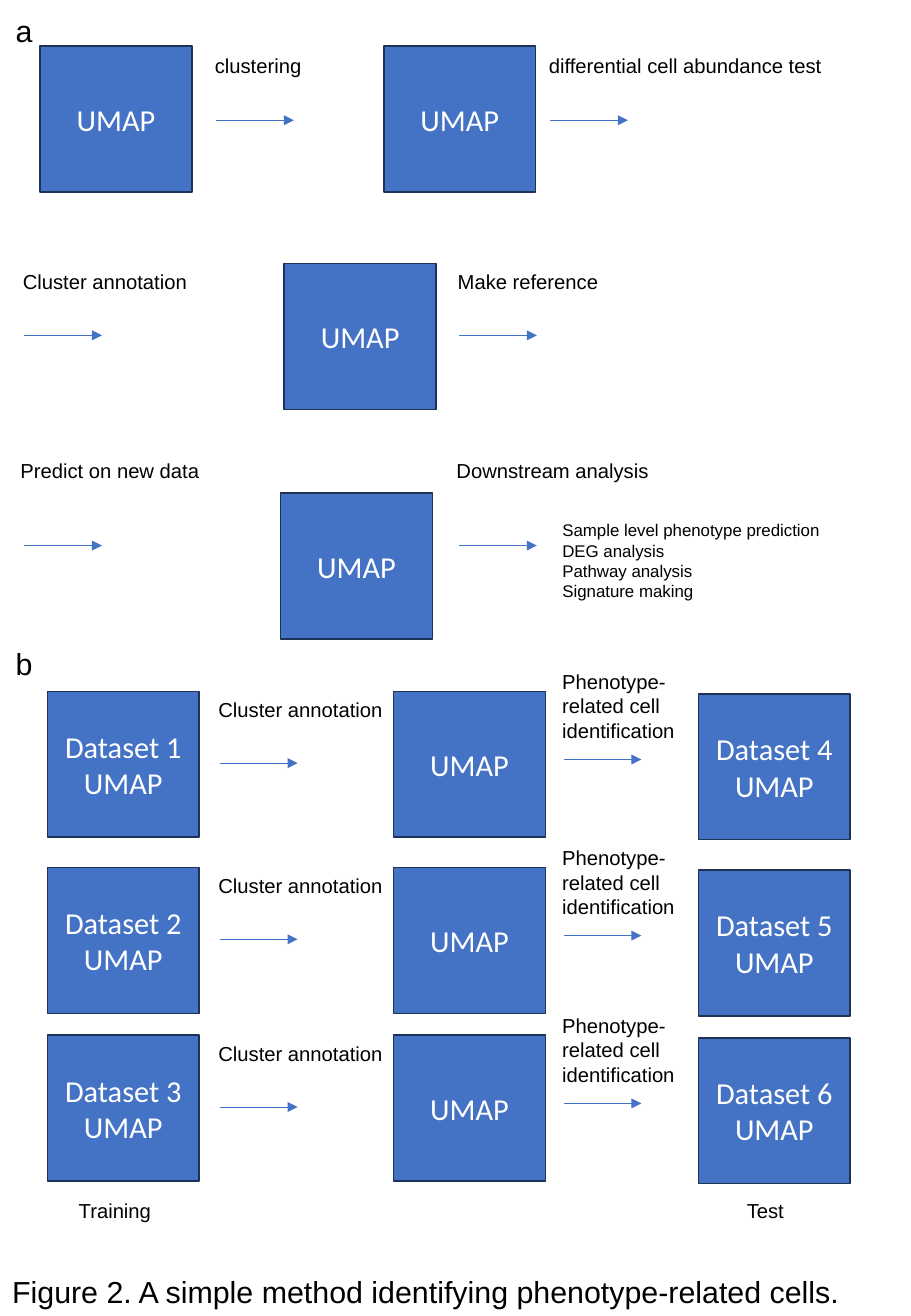
"""Draw the two-panel figure of the phenotype-related cell method."""
import dataclasses
import typing

import lxml.etree
import pptx
import pptx.dml.color
import pptx.enum.shapes
import pptx.enum.text
import pptx.oxml.ns
import pptx.util

Inches = pptx.util.Inches
qn = pptx.oxml.ns.qn
HUES = {"box": "4472C4", "edge": "1E3256", "ink": "000000", "light": "FFFFFF"}


@dataclasses.dataclass
class Box:
    left: float
    top: float
    lines: tuple = ("UMAP",)


@dataclasses.dataclass
class Arrow:
    left: float
    top: float


@dataclasses.dataclass
class Label:
    left: float
    top: float
    width: float
    text: str
    size: int = 12
    height: float = 0.3
    wrap: bool = False


def hue(name: str) -> pptx.dml.color.RGBColor:
    return pptx.dml.color.RGBColor.from_string(HUES[name])


def write(frame: typing.Any, lines: typing.Sequence[str], size: int,
          face: str, tint: str, side: typing.Any) -> None:
    for num, line in enumerate(lines):
        para = frame.paragraphs[0] if num == 0 else frame.add_paragraph()
        para.alignment = side
        para.space_before = pptx.util.Pt(0)
        run = para.add_run()
        run.text = line
        run.font.size = pptx.util.Pt(size)
        run.font.name = face
        run.font.color.rgb = hue(tint)


def fill_text(shape: typing.Any, item: Label) -> None:
    shape.left, shape.top = Inches(item.left), Inches(item.top)
    shape.width, shape.height = Inches(item.width), Inches(item.height)
    frame = shape.text_frame
    frame.word_wrap = item.wrap
    frame.auto_size = pptx.enum.text.MSO_AUTO_SIZE.SHAPE_TO_FIT_TEXT
    frame.vertical_anchor = pptx.enum.text.MSO_ANCHOR.TOP
    write(frame, item.text.split("\n"), item.size, "Arial", "ink",
          pptx.enum.text.PP_ALIGN.LEFT)


def draw_label(slide: typing.Any, item: Label) -> None:
    fill_text(slide.shapes.add_textbox(0, 0, 0, 0), item)


def draw_box(slide: typing.Any, item: Box) -> None:
    shape = slide.shapes.add_shape(
        pptx.enum.shapes.MSO_SHAPE.RECTANGLE, Inches(item.left),
        Inches(item.top), Inches(1.25), Inches(1.2))
    shape.shadow.inherit = False
    shape.fill.solid()
    shape.fill.fore_color.rgb = hue("box")
    shape.line.color.rgb = hue("edge")
    shape.line.width = pptx.util.Pt(1)
    shape.text_frame.vertical_anchor = pptx.enum.text.MSO_ANCHOR.MIDDLE
    write(shape.text_frame, item.lines, 18, "Calibri", "light",
          pptx.enum.text.PP_ALIGN.CENTER)


def draw_arrow(slide: typing.Any, item: Arrow) -> None:
    line = slide.shapes.add_connector(
        pptx.enum.shapes.MSO_CONNECTOR.STRAIGHT, Inches(item.left),
        Inches(item.top), Inches(item.left + 0.64), Inches(item.top))
    line.line.color.rgb = hue("box")
    line.line.width = pptx.util.Pt(0.5)
    props = line._element.spPr
    lxml.etree.SubElement(props.find(qn("a:ln")), qn("a:tailEnd"),
                          type="triangle")
    lxml.etree.SubElement(props, qn("a:effectLst"))


def draw_list(shape: typing.Any, item: Label) -> None:
    fill_text(shape, item)
    for para in shape.text_frame.paragraphs:
        props = para._p.get_or_add_pPr()
        props.set("marL", "0")
        props.set("indent", "0")
        lxml.etree.SubElement(props, qn("a:buNone"))


DRAW = {Box: draw_box, Arrow: draw_arrow, Label: draw_label}
CAPTION = Label(
    0, 10.43, 7.07,
    "Figure 2. A simple method identifying phenotype-related cells.", 18, 0.4)
TASKS = Label(
    4.53, 4.23, 2.33, "Sample level phenotype prediction\nDEG analysis\n"
    "Pathway analysis\nSignature making", 10, 0.77)
STEPS = [
    Label(0.03, 0.05, 0.34, "a", 18, 0.4),
    Box(0.33, 0.38), Arrow(1.78, 0.99), Label(1.67, 0.39, 0.92, "clustering"),
    Box(3.16, 0.38), Arrow(4.53, 0.99),
    Label(4.42, 0.39, 2.46, "differential cell abundance test"),
    Arrow(0.2, 2.76), Label(0.09, 2.17, 1.56, "Cluster annotation"),
    Box(2.34, 2.17), Arrow(3.78, 2.76),
    Label(3.67, 2.17, 1.37, "Make reference"),
    Arrow(0.2, 4.49), Label(0.07, 3.72, 1.69, "Predict on new data"),
    Box(2.31, 4.06), Arrow(3.78, 4.49),
    Label(3.66, 3.72, 1.8, "Downstream analysis"),
    Label(0.03, 5.26, 0.34, "b", 18, 0.4),
    Label(0.55, 9.81, 0.8, "Training"), Label(6.05, 9.81, 0.51, "Test"),
]


def make_row(num: int, top: float) -> list:
    return [
        Box(0.39, top, (f"Dataset {num}", "UMAP")),
        Arrow(1.81, top + 0.59),
        Label(1.7, top, 1.56, "Cluster annotation"),
        Box(3.24, top),
        Arrow(4.64, top + 0.56),
        Label(4.53, top - 0.23, 1.25, "Phenotype-related cell identification",
              height=0.71, wrap=True),
        Box(5.75, top + 0.02, (f"Dataset {num + 3}", "UMAP")),
    ]


def main() -> None:
    deck = pptx.Presentation()
    deck.slide_width, deck.slide_height = Inches(7.5), Inches(10.83)
    slide = deck.slides.add_slide(deck.slide_layouts[1])
    fill_text(slide.shapes.title, CAPTION)
    draw_list(slide.placeholders[1], TASKS)
    items = list(STEPS)
    for num, top in enumerate((5.69, 7.14, 8.52), 1):
        items += make_row(num, top)
    for item in items:
        DRAW[type(item)](slide, item)
    deck.save("out.pptx")


if __name__ == "__main__":
    main()
